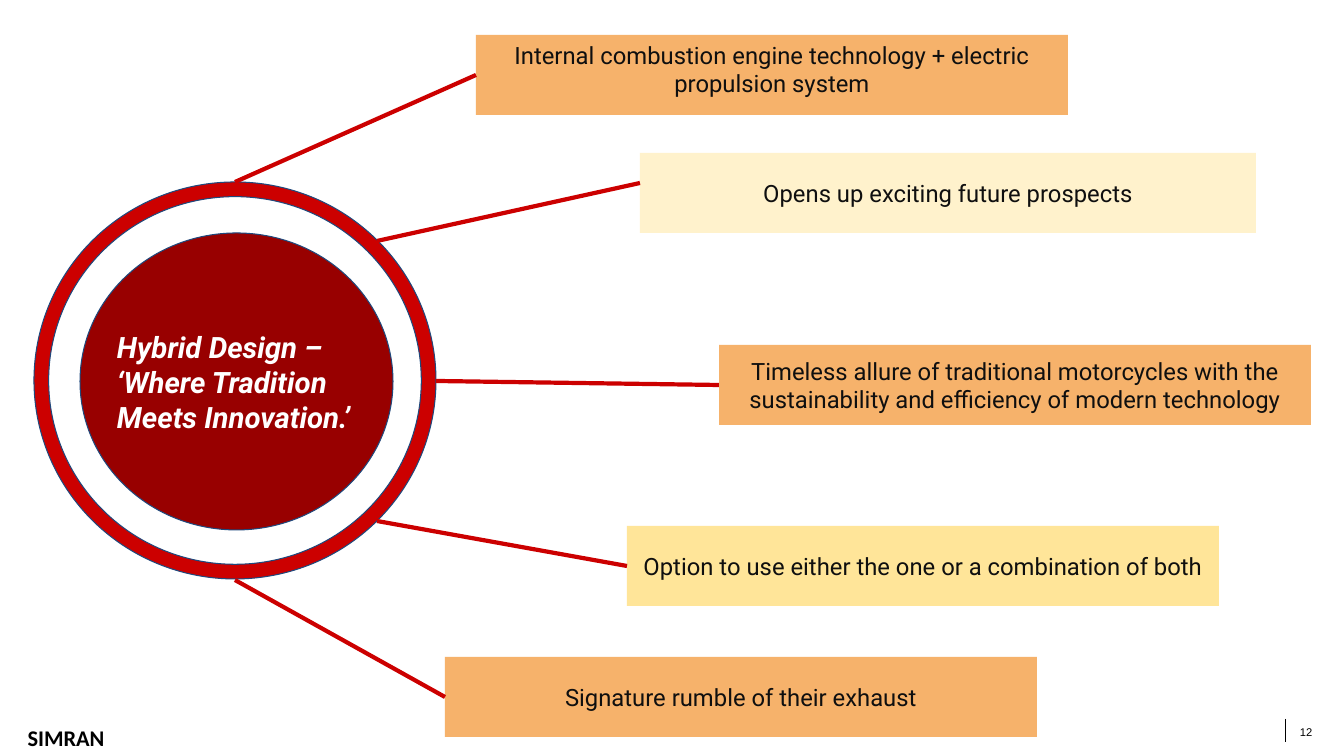
import pptx
import pptx.util
import pptx.dml.color
import pptx.enum.shapes
import pptx.enum.text
import lxml.etree

PX = 9071.43
MSO = pptx.enum.shapes.MSO_SHAPE
ANCHOR = pptx.enum.text.MSO_ANCHOR
ALIGN = pptx.enum.text.PP_ALIGN

THEME = {
    "core": "980000", "ring": "CC0000", "outline": "1F497D",
    "orange": "F6B26B", "cream": "FFF2CC", "yellow": "FFE599",
    "ink": "0F0F0F", "white": "FFFFFF", "black": "000000",
    "title_pt": 21, "box_pt": 17, "name_pt": 16, "number_pt": 8,
    "spoke_pt": 3, "thin_pt": 0.75,
}


def px(*values):
    return [pptx.util.Emu(round(v * PX)) for v in values]


def write(sp, text, font, size, color, align, inset=10, anchor=ANCHOR.TOP, bold=False, italic=False):
    tf = sp.text_frame
    tf.word_wrap = True
    tf.auto_size = pptx.enum.text.MSO_AUTO_SIZE.NONE
    tf.vertical_anchor = anchor
    tf.margin_left, tf.margin_top, tf.margin_right, tf.margin_bottom = px(*[inset] * 4)
    p = tf.paragraphs[0]
    p.text = text
    p.alignment = align
    p.font.name = font
    p.font.size = pptx.util.Pt(THEME[size])
    p.font.bold = bold
    p.font.italic = italic
    p.font.color.rgb = pptx.dml.color.RGBColor.from_string(THEME[color])


prs = pptx.Presentation()
prs.slide_width, prs.slide_height = px(1344, 756)
s = prs.slides.add_slide(prs.slide_layouts[5])

for shape, bounds, fill in [
    (MSO.OVAL, (80, 233, 313, 297), "core"),
    (MSO.DONUT, (34, 182, 402, 397), "ring"),
]:
    sp = s.shapes.add_shape(shape, *px(*bounds))
    sp.shadow.inherit = False
    sp.fill.solid()
    sp.fill.fore_color.rgb = pptx.dml.color.RGBColor.from_string(THEME[fill])
    sp.line.color.rgb = pptx.dml.color.RGBColor.from_string(THEME["outline"])
    sp.line.width = pptx.util.Pt(THEME["thin_pt"])
    if shape == MSO.DONUT:
        sp.adjustments[0] = 0.037

lines = []
for text, left, top, width, fill, start, end_y in [
    ("Internal combustion engine technology + electric propulsion system",
     476, 35, 592, "orange", (235, 182), 75),
    ("Opens up exciting future prospects", 640, 153, 616, "cream", (377, 241), 183),
    ("Timeless allure of traditional motorcycles with the sustainability and efficiency of modern technology",
     719, 345, 592, "orange", (436, 381), 385),
    ("Option to use either the one or a combination of both", 627, 526, 592, "yellow", (377, 521), 566),
    ("Signature rumble of their exhaust", 445, 657, 592, "orange", (235, 580), 697),
]:
    height = 80
    box = s.shapes.add_shape(MSO.RECTANGLE, *px(left, top, width, height))
    box.shadow.inherit = False
    box.fill.solid()
    box.fill.fore_color.rgb = pptx.dml.color.RGBColor.from_string(THEME[fill])
    box.line.fill.background()
    write(box, text, "Roboto", "box_pt", "ink", ALIGN.CENTER, anchor=ANCHOR.MIDDLE)
    if top == 35:
        box.text_frame.margin_bottom = px(22)[0]
    spoke = s.shapes.add_connector(pptx.enum.shapes.MSO_CONNECTOR.STRAIGHT, *px(*start, left, end_y))
    if end_y == top + height // 2:
        spoke.end_connect(box, 1)
    lines.append((spoke, "ring", "spoke_pt"))

rule = s.shapes.add_connector(pptx.enum.shapes.MSO_CONNECTOR.STRAIGHT, *px(1286, 719, 1286, 742))
lines.append((rule, "black", "thin_pt"))
for line, color, weight in lines:
    line.line.color.rgb = pptx.dml.color.RGBColor.from_string(THEME[color])
    line.line.width = pptx.util.Pt(THEME[weight])
    lxml.etree.SubElement(line.element.spPr, pptx.oxml.ns.qn("a:effectLst"))

title = s.shapes.title
title.left, title.top, title.width, title.height = px(107, 319, 260, 158)
write(title, "Hybrid Design – ‘Where Tradition Meets Innovation.’", "Roboto", "title_pt", "white",
      ALIGN.LEFT, bold=True, italic=True)
title.element.getparent().append(title.element)

name = s.shapes.add_textbox(*px(0, 714, 132, 47))
write(name, "SIMRAN", "Calibri", "name_pt", "black", ALIGN.CENTER, bold=True)
number = s.shapes.add_textbox(*px(1300, 725, 22, 13))
write(number, "12", "Arial", "number_pt", "black", ALIGN.LEFT, inset=0)

prs.save("out.pptx")
